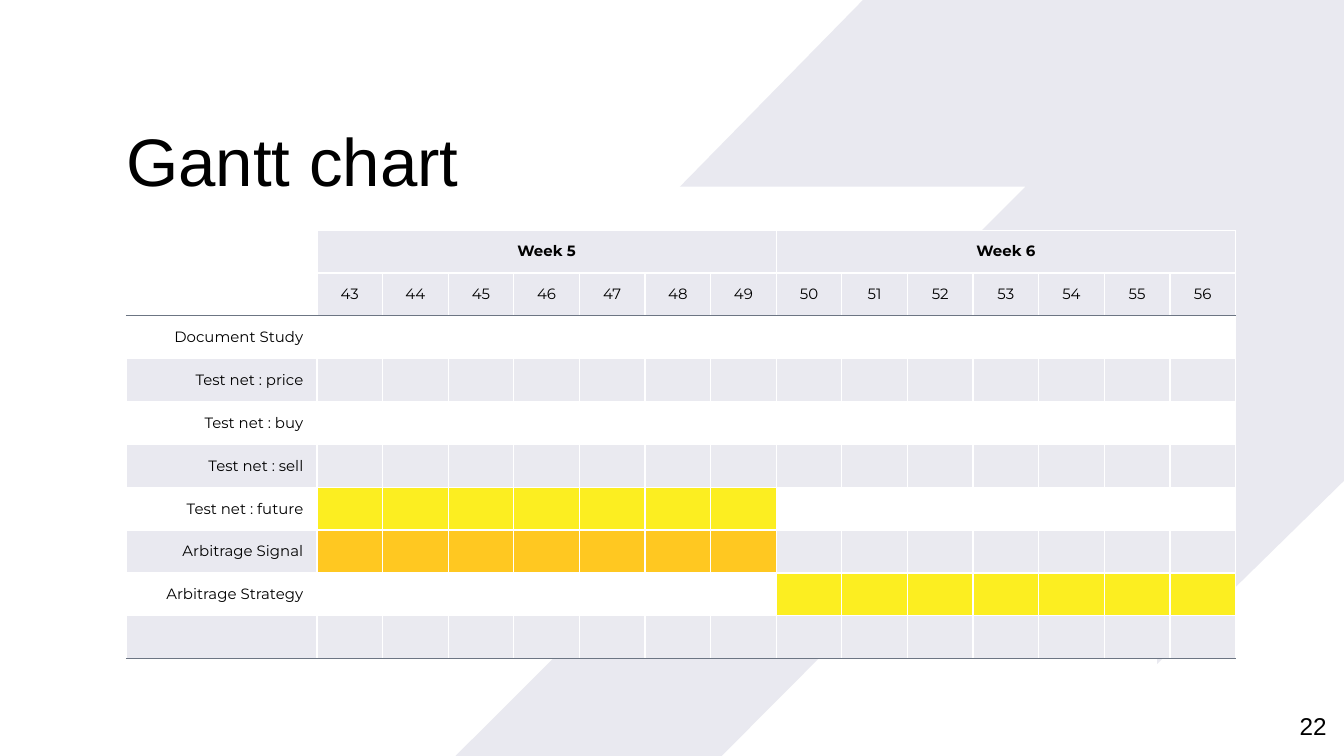
"""Build a Gantt chart slide for weeks 5 and 6."""
from dataclasses import dataclass
from typing import NamedTuple, Optional

from lxml import etree
from pptx import Presentation, slide as sl, table as tb, util as u
from pptx.dml import color
from pptx.enum import text
from pptx.oxml import ns


@dataclass(frozen=True)
class Theme:
    white: str = "FFFFFF"
    black: str = "000000"
    mist: str = "E9E9F0"
    band: str = "EAEAF0"
    rule: str = "6C7583"
    yellow: str = "FCEE21"
    amber: str = "FFC821"
    heading_font: str = "Arial"
    table_font: str = "Montserrat"
    title_size: float = 36
    number_size: float = 13
    table_size: float = 8
    border_width: float = 0.75


class Task(NamedTuple):
    name: str
    week: Optional[int] = None
    bar: str = ""


class Label(NamedTuple):
    words: str
    left: float
    top: float
    width: float
    height: float
    size: float
    align: text.PP_ALIGN
    anchor: text.MSO_ANCHOR
    spacing: float = 1.0


THEME = Theme()
DAYS_PER_WEEK = 7
FIRST_DAY = 43
WEEKS = ("Week 5", "Week 6")
DAY_COUNT = DAYS_PER_WEEK * len(WEEKS)
HEADER_ROWS = 2
NAME_WIDTH, DAY_WIDTH, ROW_HEIGHT = 3.6, 1.24, 0.81
TASKS = (
    Task("Document Study"),
    Task("Test net : price"),
    Task("Test net : buy"),
    Task("Test net : sell"),
    Task("Test net : future", 0, THEME.yellow),
    Task("Arbitrage Signal", 0, THEME.amber),
    Task("Arbitrage Strategy", 1, THEME.yellow),
    Task(""),
)
BACKDROP = (
    (16.31, 0), (12.85, 3.53), (19.38, 3.53), (8.61, 14.29), (13.64, 14.29),
    (21.87, 6.02), (21.87, 12.55), (25.4, 9.09), (25.4, 0),
)
LABELS = (
    Label("Gantt chart", 2.39, 2.41, 17, 1.4, THEME.title_size,
          text.PP_ALIGN.LEFT, text.MSO_ANCHOR.BOTTOM, 0.9),
    Label("22", 23.55, 13.18, 1.52, 1.09, THEME.number_size,
          text.PP_ALIGN.RIGHT, text.MSO_ANCHOR.MIDDLE),
)


def add_run(paragraph, words: str, font: str, size: float, bold: bool = False) -> None:
    run = paragraph.add_run()
    run.text = words
    run.font.name = font
    run.font.size = u.Pt(size)
    run.font.bold = bold
    run.font.color.rgb = color.RGBColor.from_string(THEME.black)


def add_backdrop(slide: sl.Slide) -> None:
    points = [(u.Cm(x), u.Cm(y)) for x, y in BACKDROP]
    builder = slide.shapes.build_freeform(*points[0])
    builder.add_line_segments(points[1:], close=True)
    shape = builder.convert_to_shape()
    shape.shadow.inherit = False
    shape.fill.solid()
    shape.fill.fore_color.rgb = color.RGBColor.from_string(THEME.mist)
    shape.line.fill.background()


def add_label(slide: sl.Slide, label: Label) -> None:
    shape = slide.shapes.add_textbox(
        u.Cm(label.left), u.Cm(label.top), u.Cm(label.width), u.Cm(label.height))
    frame = shape.text_frame
    frame.word_wrap = True
    frame.vertical_anchor = label.anchor
    frame.margin_left = frame.margin_right = frame.margin_top = frame.margin_bottom = 0
    paragraph = frame.paragraphs[0]
    paragraph.alignment = label.align
    paragraph.line_spacing = label.spacing
    add_run(paragraph, label.words, THEME.heading_font, label.size)


def set_borders(cell: tb._Cell, top: str, bottom: str) -> None:
    properties = cell._tc.get_or_add_tcPr()
    sides = {"lnL": THEME.white, "lnR": THEME.white, "lnT": top, "lnB": bottom}
    for index, (side, shade) in enumerate(sides.items()):
        line = etree.Element(ns.qn(f"a:{side}"), w=str(u.Pt(THEME.border_width)))
        fill = etree.SubElement(line, ns.qn("a:solidFill"))
        etree.SubElement(fill, ns.qn("a:srgbClr"), val=shade)
        properties.insert(index, line)


def style_cell(cell: tb._Cell, words: str, fill: str,
               align: text.PP_ALIGN, bold: bool) -> None:
    if fill:
        cell.fill.solid()
        cell.fill.fore_color.rgb = color.RGBColor.from_string(fill)
    else:
        cell.fill.background()
    cell.vertical_anchor = text.MSO_ANCHOR.MIDDLE
    paragraph = cell.text_frame.paragraphs[0]
    paragraph.alignment = align
    if words:
        add_run(paragraph, words, THEME.table_font, THEME.table_size, bold)
    else:
        etree.SubElement(paragraph._p, ns.qn("a:endParaRPr"),
                         sz=str(int(THEME.table_size * 100)))


def cell_content(row: int, column: int) -> tuple[str, str]:
    week, day = divmod(column - 1, DAYS_PER_WEEK)
    if row < HEADER_ROWS:
        if column == 0:
            return "", ""
        if row == 0:
            return (WEEKS[week] if day == 0 else ""), THEME.mist
        return str(FIRST_DAY + column - 1), THEME.mist
    task = TASKS[row - HEADER_ROWS]
    banded = (row - HEADER_ROWS) % 2 == 1
    if column == 0:
        return task.name, THEME.mist if banded else ""
    if week == task.week:
        return "", task.bar
    return "", THEME.band if banded else THEME.white


def add_gantt(slide: sl.Slide) -> None:
    row_count = HEADER_ROWS + len(TASKS)
    table = slide.shapes.add_table(
        row_count, DAY_COUNT + 1, u.Cm(2.39), u.Cm(4.35),
        u.Cm(NAME_WIDTH + DAY_COUNT * DAY_WIDTH), u.Cm(row_count * ROW_HEIGHT)).table
    table.first_row = table.horz_banding = False
    for index, column in enumerate(table.columns):
        column.width = u.Cm(DAY_WIDTH if index else NAME_WIDTH)
    for row in table.rows:
        row.height = u.Cm(ROW_HEIGHT)
    ruled = (HEADER_ROWS - 1, row_count - 1)
    for row in range(row_count):
        for column in range(DAY_COUNT + 1):
            cell = table.cell(row, column)
            words, fill = cell_content(row, column)
            align = text.PP_ALIGN.CENTER if column else text.PP_ALIGN.RIGHT
            style_cell(cell, words, fill, align, bold=row == 0)
            set_borders(cell, THEME.rule if row - 1 in ruled else THEME.white,
                        THEME.rule if row in ruled else THEME.white)
    for start in range(1, DAY_COUNT + 1, DAYS_PER_WEEK):
        table.cell(0, start).merge(table.cell(0, start + DAYS_PER_WEEK - 1))


def main() -> None:
    presentation = Presentation()
    presentation.slide_width, presentation.slide_height = u.Cm(25.4), u.Cm(14.29)
    slide = presentation.slides.add_slide(presentation.slide_layouts[6])
    add_backdrop(slide)
    for label in LABELS:
        add_label(slide, label)
    add_gantt(slide)
    presentation.save("out.pptx")


if __name__ == "__main__":
    main()
